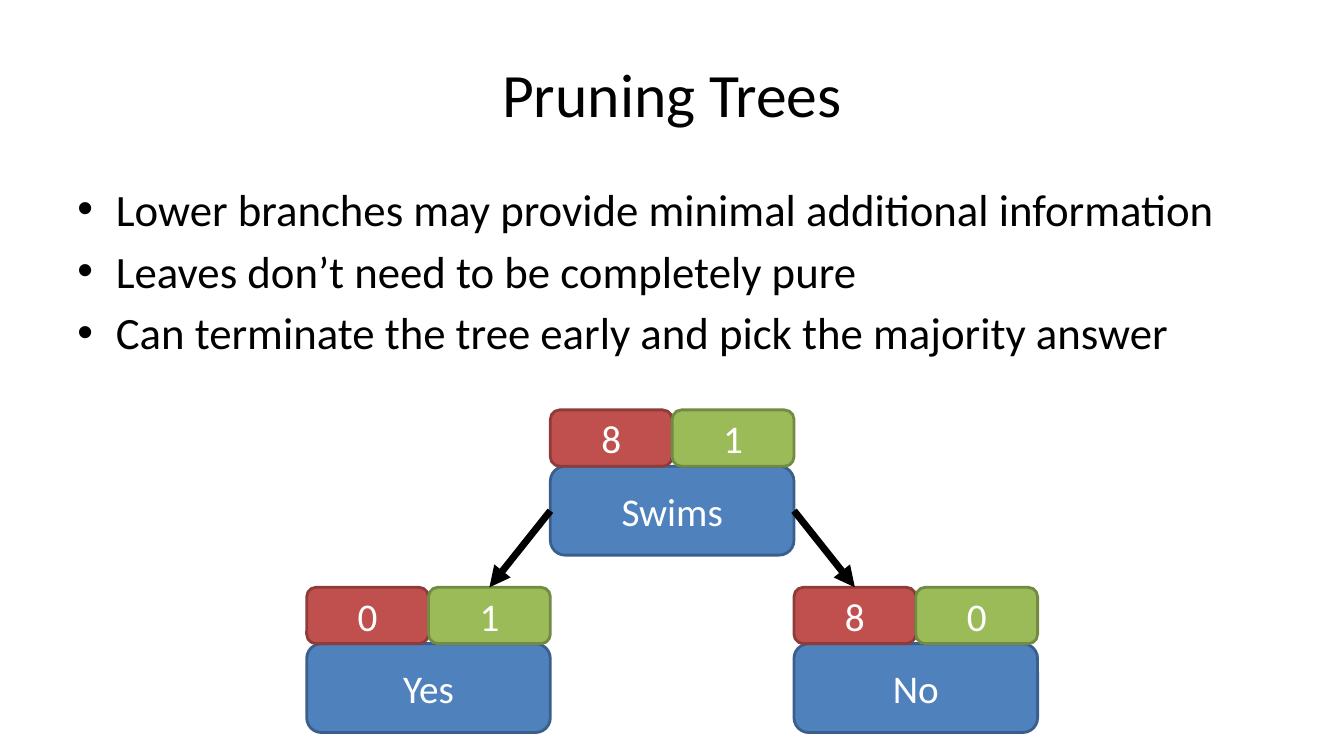
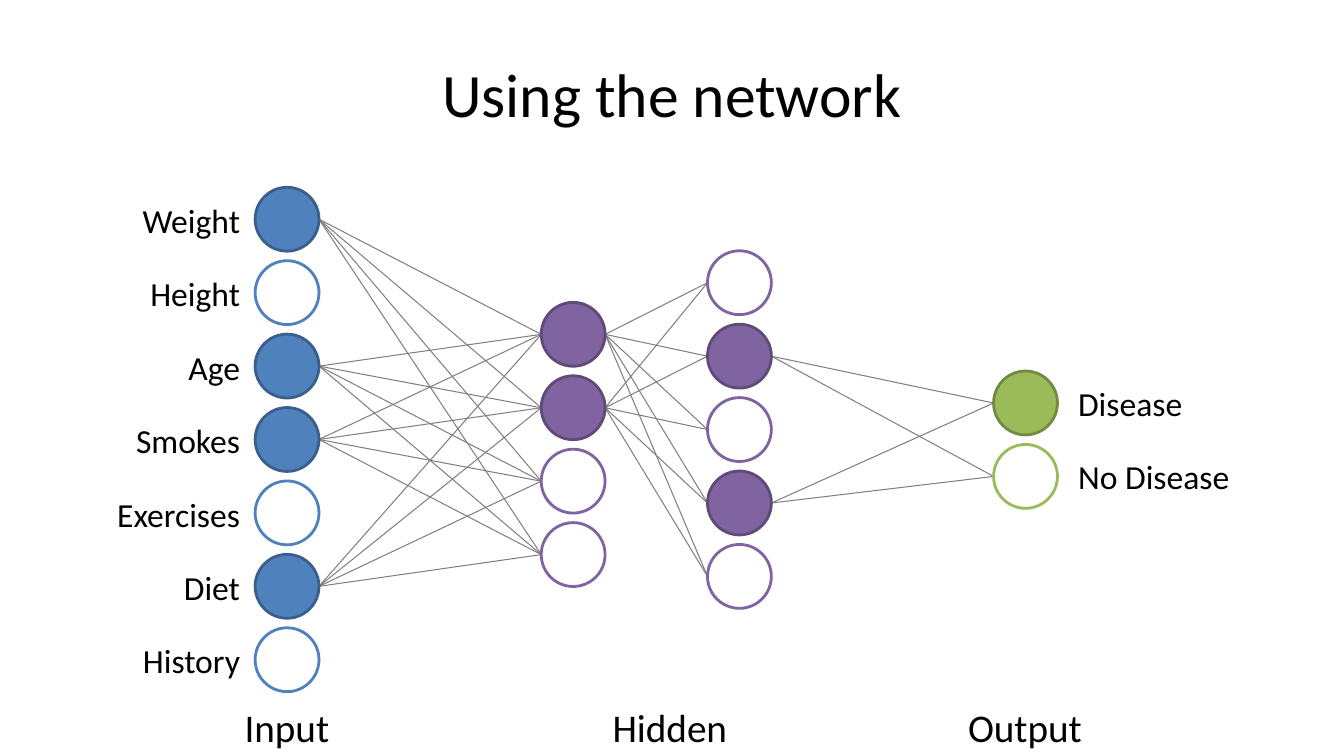
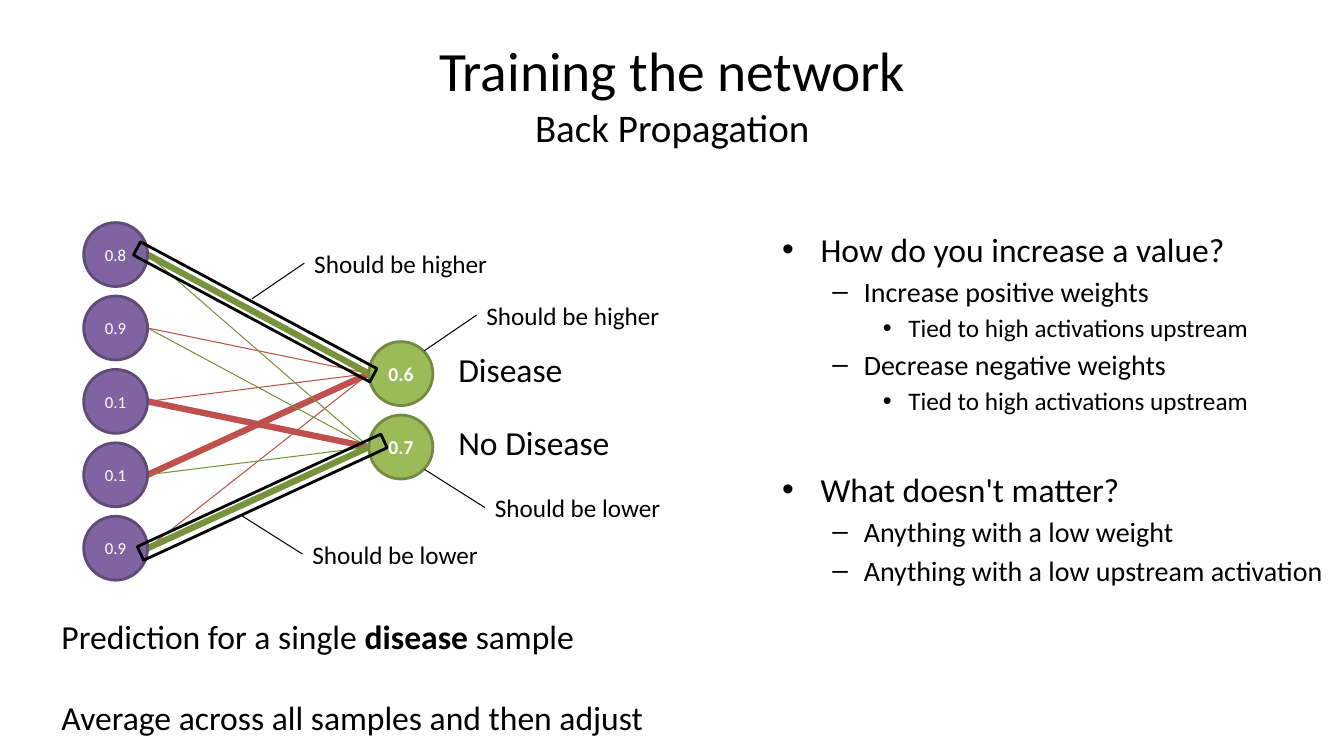
from itertools import product

from pptx import Presentation
from pptx.dml.color import RGBColor
from pptx.enum.shapes import MSO_CONNECTOR, MSO_SHAPE
from pptx.enum.text import MSO_ANCHOR, PP_ALIGN
from pptx.oxml.ns import qn
from pptx.util import Cm, Pt

FONT = "Calibri"
BLACK, WHITE, GREY = "000000", "FFFFFF", "808080"
BLUE, RED, GREEN, PURPLE = "4F81BD", "C0504D", "9BBB59", "8064A2"
POSITIVE = "77933C"
EDGE = {BLUE: "3A5F8C", RED: "8E3B39", GREEN: "738A42", PURPLE: "5F4A78"}
LEFT, CENTER, RIGHT = PP_ALIGN.LEFT, PP_ALIGN.CENTER, PP_ALIGN.RIGHT

# Bullet sign, left margin and hanging width (cm) for each level
BULLETS = [("•", 0.97, 0.97), ("–", 2.06, 0.79), ("•", 3.18, 0.64)]

# Network nodes (cm)
NODE, PITCH = 1.61, 1.85
# Tree nodes (cm)
HALF, SCORE_H, BOX_H = 3.07, 1.42, 2.24


def rgb(color):
    return RGBColor.from_string(color)


def add_text(tf, text, size=24, color=BLACK, align=LEFT, bold=False, before=0, level=None):
    """Add one paragraph; words between ** are bold, a level gives a bullet."""
    p = tf.add_paragraph() if tf.text else tf.paragraphs[0]
    if level is not None:
        sign, margin, hanging = BULLETS[level]
        pPr = p._p.get_or_add_pPr()
        pPr.set("marL", str(Cm(margin)))
        pPr.set("indent", str(-Cm(hanging)))
        pPr.makeelement(qn("a:buFont"))
        font = pPr.makeelement(qn("a:buFont"), {"typeface": "Arial"})
        pPr.extend([font, pPr.makeelement(qn("a:buChar"), {"char": sign})])
    p.alignment = align
    p.space_before = Pt(before)
    for i, part in enumerate(text.split("**")):
        r = p.add_run()
        r.text = part
        r.font.name, r.font.size = FONT, Pt(size)
        r.font.bold = bold or i % 2 == 1
        r.font.color.rgb = rgb(color)


def text_box(s, left, top, width, height, anchor=MSO_ANCHOR.TOP):
    sp = s.shapes.add_textbox(Cm(left), Cm(top), Cm(width), Cm(height))
    sp.text_frame.word_wrap = True
    sp.text_frame.vertical_anchor = anchor
    return sp


def title(s, text, subtitle=None):
    tf = text_box(s, 1.7, 0.76, 30.48, 3.18, MSO_ANCHOR.MIDDLE).text_frame
    add_text(tf, text, size=39.6 if subtitle else 44, align=CENTER)
    if subtitle:
        add_text(tf, subtitle, size=27.9, align=CENTER)


def bullets(s, left, top, width, height, items, sizes):
    """Items are (level, text) or (level, text, space before)."""
    tf = text_box(s, left, top, width, height).text_frame
    for i, (level, text, *gap) in enumerate(items):
        before = gap[0] if gap else 0.18 * sizes[level]
        add_text(tf, text, size=sizes[level], before=before if i else 0, level=level)


def shape(s, kind, left, top, width, height, fill=None, line=BLACK, text="", size=28, bold=False):
    sp = s.shapes.add_shape(kind, Cm(left), Cm(top), Cm(width), Cm(height))
    sp.shadow.inherit = False
    if fill:
        sp.fill.solid()
        sp.fill.fore_color.rgb = rgb(fill)
    else:
        sp.fill.background()
    sp.line.color.rgb = rgb(line)
    sp.line.width = Pt(2)
    if text:
        tf = sp.text_frame
        tf.margin_left = tf.margin_right = tf.margin_top = tf.margin_bottom = 0
        tf.vertical_anchor = MSO_ANCHOR.MIDDLE
        add_text(tf, text, size=size, color=WHITE, align=CENTER, bold=bold)
    return sp


def line(s, start, end, color=BLACK, width=0.75, arrow=False):
    points = [Cm(v) for v in (*start, *end)]
    cx = s.shapes.add_connector(MSO_CONNECTOR.STRAIGHT, *points)
    cx.line.color.rgb = rgb(color)
    cx.line.width = Pt(width)
    if arrow:
        ln = cx.line._get_or_add_ln()
        ln.append(ln.makeelement(qn("a:tailEnd"), {"type": "triangle"}))
    spPr = cx._element.spPr
    spPr.append(spPr.makeelement(qn("a:effectLst")))
    return cx


def tree_node(s, left, top, text, red, green):
    """Draw a box under its two counts; return box, red count, green count."""
    kind = MSO_SHAPE.ROUNDED_RECTANGLE
    parts = [(left, top + SCORE_H, 2 * HALF, BOX_H, BLUE, text),
             (left, top, HALF, SCORE_H, RED, red),
             (left + HALF, top, HALF, SCORE_H, GREEN, green)]
    return [shape(s, kind, *place, fill, EDGE[fill], label)
            for *place, fill, label in parts]


def arrow(s, source, source_side, target):
    cx = line(s, (0, 0), (1, 1), width=5, arrow=True)
    cx.begin_connect(source, source_side)
    cx.end_connect(target, 0)


def layer(s, left, top, color, states, size=12, bold=False):
    """Draw a column of nodes; a state is a text, or whether the node is active."""
    for i, state in enumerate(states):
        fill, edge = (color, EDGE[color]) if state else (WHITE, color)
        text = state if isinstance(state, str) else ""
        shape(s, MSO_SHAPE.OVAL, left, top + i * PITCH, NODE, NODE, fill, edge, text, size, bold)


def ends(x, top, rows):
    """Points at height of the node centres in the given rows of a layer."""
    return [(x, top + NODE / 2 + i * PITCH) for i in rows]


def labels(s, left, top, width, words, align=LEFT):
    for i, word in enumerate(words):
        sp = text_box(s, left, top + i * PITCH, width, NODE, MSO_ANCHOR.MIDDLE)
        add_text(sp.text_frame, word, align=align)


def callout(s, text, left, middle, dx, dy):
    sp = text_box(s, left, middle - 0.51, 5.2, 1.02, MSO_ANCHOR.MIDDLE)
    add_text(sp.text_frame, text, size=18)
    cx = line(s, (left, middle), (left + dx, middle + dy))
    cx.begin_connect(sp, 1)


def pruning_slide(s):
    title(s, "Pruning Trees")
    bullets(s, 1.7, 4.45, 30.48, 5.5, [
        (0, "Lower branches may provide minimal additional information"),
        (0, "Leaves don’t need to be completely pure"),
        (0, "Can terminate the tree early and pick the majority answer"),
    ], [32])
    root_left = 13.87
    swims, _, _ = tree_node(s, root_left, 10.33, "Swims", "8", "1")
    _, _, yes_green = tree_node(s, root_left - 2 * HALF, 14.8, "Yes", "0", "1")
    _, no_red, _ = tree_node(s, root_left + 2 * HALF, 14.8, "No", "8", "0")
    arrow(s, swims, 1, yes_green)
    arrow(s, swims, 3, no_red)


def using_slide(s):
    title(s, "Using the network")
    layers = [(6.43, 4.72, BLUE, [1, 0, 1, 1, 0, 1, 0]),
              (13.64, 7.62, PURPLE, [1, 1, 0, 0]),
              (17.83, 6.32, PURPLE, [0, 1, 0, 1, 0]),
              (25.04, 9.35, GREEN, [1, 0])]
    for (x1, top1, _, states1), (x2, top2, _, states2) in zip(layers, layers[1:]):
        active = [i for i, on in enumerate(states1) if on]
        starts = ends(x1 + NODE, top1, active)
        for start, end in product(starts, ends(x2, top2, range(len(states2)))):
            line(s, start, end, GREY)
    for args in layers:
        layer(s, *args)
    inputs = ["Weight", "Height", "Age", "Smokes", "Exercises", "Diet", "History"]
    labels(s, 1.9, 4.74, 4.4, inputs, RIGHT)
    labels(s, 26.92, 9.35, 6, ["Disease", "No Disease"])
    for text, center in [("Input", 7.23), ("Hidden", 16.88), ("Output", 25.83)]:
        sp = text_box(s, center - 2.5, 17.6, 5, 1.45)
        add_text(sp.text_frame, text, size=28, align=CENTER)


def training_slide(s):
    title(s, "Training the network", "Back Propagation")
    bullets(s, 19.46, 5.64, 14.4, 10.08, [
        (0, "How do you increase a value?"),
        (1, "Increase positive weights"),
        (2, "Tied to high activations upstream"),
        (1, "Decrease negative weights"),
        (2, "Tied to high activations upstream"),
        (0, "What doesn't matter?", 38),
        (1, "Anything with a low weight"),
        (1, "Anything with a low upstream activation"),
    ], [24, 20, 18])

    hidden_left, hidden_top = 2.11, 5.61
    output_left, output_top = 9.3, 8.61
    thin, thick = 0.75, 4.5
    # Weights in node order: to Disease, then to No Disease
    weights = [(POSITIVE, thick), (POSITIVE, thin),
               (RED, thin), (POSITIVE, thin),
               (RED, thin), (RED, thick),
               (RED, thick), (POSITIVE, thin),
               (RED, thin), (POSITIVE, thick)]
    pairs = product(ends(hidden_left + NODE, hidden_top, range(5)),
                    ends(output_left, output_top, range(2)))
    # Positive weights lie over negative ones
    for (start, end), weight in sorted(zip(pairs, weights), key=lambda e: e[1][0] == POSITIVE):
        line(s, start, end, *weight)
    layer(s, hidden_left, hidden_top, PURPLE, ["0.8", "0.9", "0.1", "0.1", "0.9"])
    layer(s, output_left, output_top, GREEN, ["0.6", "0.7"], size=14, bold=True)
    labels(s, 11.3, 8.49, 6, ["Disease", "No Disease"])

    for left, top, angle in [(3.05, 7.67, 28.2), (3.23, 12.34, 335.2)]:
        frame = shape(s, MSO_SHAPE.RECTANGLE, left, top, 6.76, 0.38)
        frame.rotation = angle
    for left, middle in [(7.67, 6.63), (12.01, 7.94)]:
        callout(s, "Should be higher", left, middle, -1.32, 0.9)
    for left, middle in [(12.22, 12.79), (7.62, 13.96)]:
        callout(s, "Should be lower", left, middle, -1.52, -0.96)

    tf = text_box(s, 1.3, 15.39, 16.5, 3.33).text_frame
    add_text(tf, "Prediction for a single **disease** sample")
    add_text(tf, "Average across all samples and then adjust", before=29.3)


def main():
    prs = Presentation()
    prs.slide_width, prs.slide_height = Cm(33.87), Cm(19.05)
    for build in (pruning_slide, using_slide, training_slide):
        build(prs.slides.add_slide(prs.slide_layouts[6]))
    prs.save("out.pptx")


if __name__ == "__main__":
    main()
